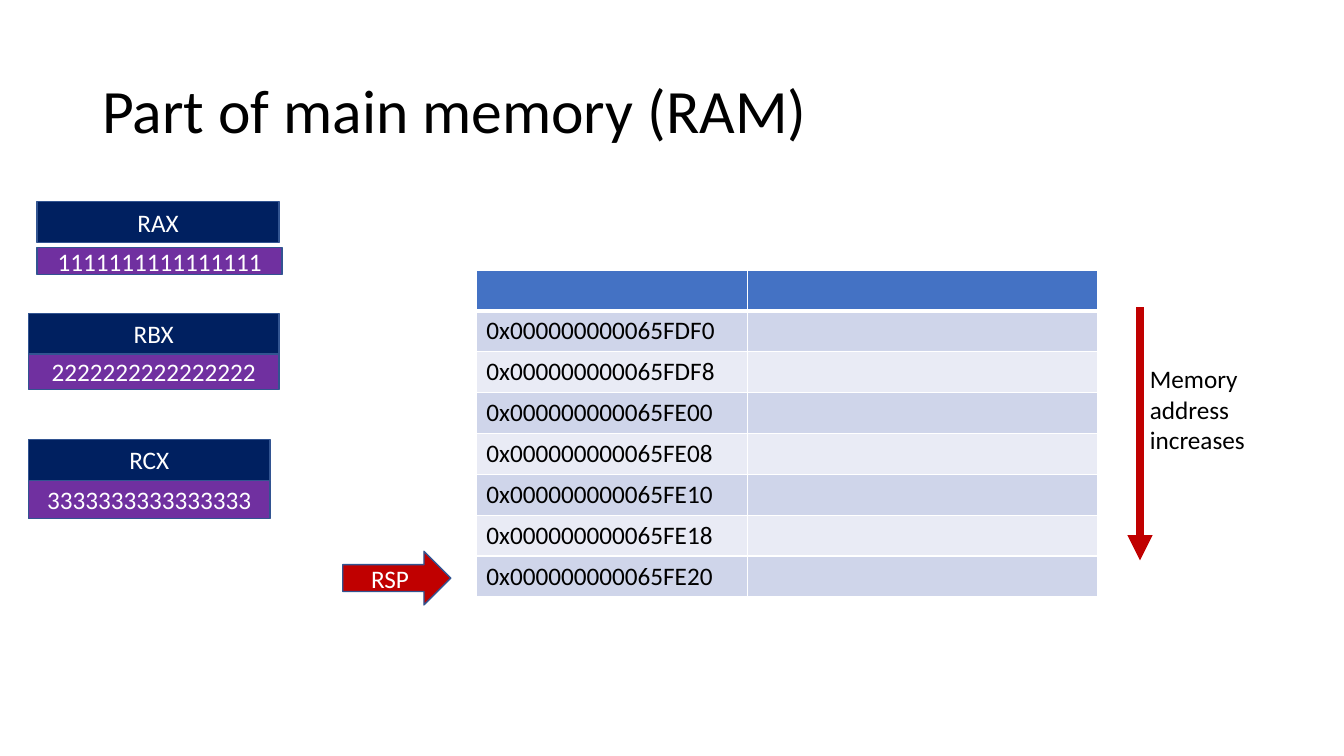
"""Build a slide of registers beside a part of main memory."""
from dataclasses import dataclass

from lxml import etree
from pptx import Presentation
from pptx.dml.color import RGBColor
from pptx.enum.shapes import MSO_CONNECTOR, MSO_SHAPE
from pptx.enum.text import MSO_ANCHOR, MSO_AUTO_SIZE, PP_ALIGN
from pptx.oxml.ns import qn
from pptx.util import Pt

RECTANGLE = MSO_SHAPE.RECTANGLE
RIGHT_ARROW = MSO_SHAPE.RIGHT_ARROW
STRAIGHT = MSO_CONNECTOR.STRAIGHT
MIDDLE = MSO_ANCHOR.MIDDLE
NO_AUTOFIT = MSO_AUTO_SIZE.NONE
FIT_SHAPE = MSO_AUTO_SIZE.SHAPE_TO_FIT_TEXT
LEFT = PP_ALIGN.LEFT
CENTER = PP_ALIGN.CENTER

FONT = "Calibri"
BLACK = "000000"
WHITE = "FFFFFF"
NAVY = "002060"
PURPLE = "7030A0"
RED = "C00000"
OUTLINE = "325491"
HEADER_FILL = "4472C4"
BAND_FILLS = ("CFD5EA", "E9EBF5")

TABLE_TOP = 192.8
ROW_HEIGHT = 29.2
FIRST_ADDRESS = 0x65FDF0
WORD_BYTES = 8
WORD_COUNT = 7


@dataclass(frozen=True)
class LabelBox:
    text: str
    left: float
    top: float
    width: float
    height: float
    fill: str
    preset: int = RECTANGLE


@dataclass(frozen=True)
class MemoryColumn:
    left: float
    width: float
    texts: tuple


ADDRESSES = tuple(
    f"0x{FIRST_ADDRESS + WORD_BYTES * index:016X}" for index in range(WORD_COUNT)
)
COLUMNS = (
    MemoryColumn(533.5, 250.6, ("",) * WORD_COUNT),
    MemoryColumn(340.3, 193.4, ADDRESSES),
)
BOXES = (
    LabelBox("RSP", 244.8, 393.8, 77.2, 38.3, RED, RIGHT_ARROW),
    LabelBox("RAX", 26.6, 144, 172.8, 29.2, NAVY),
    LabelBox("RBX", 20.2, 223.9, 179.2, 29.2, NAVY),
    LabelBox("RCX", 20.2, 313.9, 172.8, 29.2, NAVY),
    LabelBox("3" * 16, 20.2, 343.4, 172.8, 27.2, PURPLE),
    LabelBox("2" * 16, 20.2, 252.9, 179.2, 25.2, PURPLE),
    LabelBox("1" * 16, 26.6, 176.6, 175, 19.6, PURPLE),
)


def color(value: str) -> RGBColor:
    return RGBColor.from_string(value)


def style(paragraph, size: float, shade: str, align=LEFT) -> None:
    paragraph.alignment = align
    paragraph.font.name = FONT
    paragraph.font.size = Pt(size)
    paragraph.font.color.rgb = color(shade)


def add_title(page) -> None:
    title = page.shapes.title
    title.left, title.top = Pt(66), Pt(28.8)
    title.width, title.height = Pt(828), Pt(104.4)
    frame = title.text_frame
    frame.text = "Part of main memory (RAM)"
    frame.auto_size = NO_AUTOFIT
    frame.vertical_anchor = MIDDLE
    para = frame.paragraphs[0]
    para.line_spacing = 0.9
    style(para, 44, BLACK)


def add_box(page, box: LabelBox) -> None:
    shape = page.shapes.add_shape(
        box.preset, Pt(box.left), Pt(box.top), Pt(box.width), Pt(box.height)
    )
    shape.shadow.inherit = False
    shape.fill.solid()
    shape.fill.fore_color.rgb = color(box.fill)
    shape.line.color.rgb = color(OUTLINE)
    shape.line.width = Pt(1)
    frame = shape.text_frame
    frame.text = box.text
    frame.vertical_anchor = MIDDLE
    style(frame.paragraphs[0], 18, WHITE, CENTER)


def add_border(cell, side: str, width: float) -> None:
    properties = cell._tc.get_or_add_tcPr()
    line = etree.SubElement(properties, qn(f"a:ln{side}"), w=str(int(Pt(width))))
    fill = etree.SubElement(line, qn("a:solidFill"))
    etree.SubElement(fill, qn("a:srgbClr"), val=WHITE)


def add_column(page, column: MemoryColumn) -> None:
    texts = ("",) + column.texts
    table = page.shapes.add_table(
        len(texts), 1, Pt(column.left), Pt(TABLE_TOP),
        Pt(column.width), Pt(ROW_HEIGHT * len(texts)),
    ).table
    for index, text in enumerate(texts):
        table.rows[index].height = Pt(ROW_HEIGHT)
        cell = table.cell(index, 0)
        cell.text = text
        style(cell.text_frame.paragraphs[0], 18, BLACK)
        for side in "LRTB":
            below_header = (index, side) in ((0, "B"), (1, "T"))
            add_border(cell, side, 3 if below_header else 1)
        cell.fill.solid()
        shade = BAND_FILLS[(index - 1) % 2] if index else HEADER_FILL
        cell.fill.fore_color.rgb = color(shade)


def add_direction(page) -> None:
    arrow = page.shapes.add_connector(
        STRAIGHT, Pt(814.3), Pt(219.6), Pt(814.3), Pt(400.3)
    )
    arrow.line.color.rgb = color(RED)
    arrow.line.width = Pt(6)
    properties = arrow.element.spPr
    etree.SubElement(properties.find(qn("a:ln")), qn("a:tailEnd"), type="triangle")
    etree.SubElement(properties, qn("a:effectLst"))

    note = page.shapes.add_textbox(Pt(814.3), Pt(256.3), Pt(132.5), Pt(72.7))
    frame = note.text_frame
    frame.word_wrap = True
    frame.auto_size = FIT_SHAPE
    frame.text = "Memory address\nincreases"
    for para in frame.paragraphs:
        style(para, 18, BLACK)


def main() -> None:
    deck = Presentation()
    deck.slide_width, deck.slide_height = Pt(960), Pt(540)
    page = deck.slides.add_slide(deck.slide_layouts[5])
    add_title(page)
    for column in COLUMNS:
        add_column(page, column)
    add_direction(page)
    for box in BOXES:
        add_box(page, box)
    deck.save("out.pptx")


if __name__ == "__main__":
    main()
